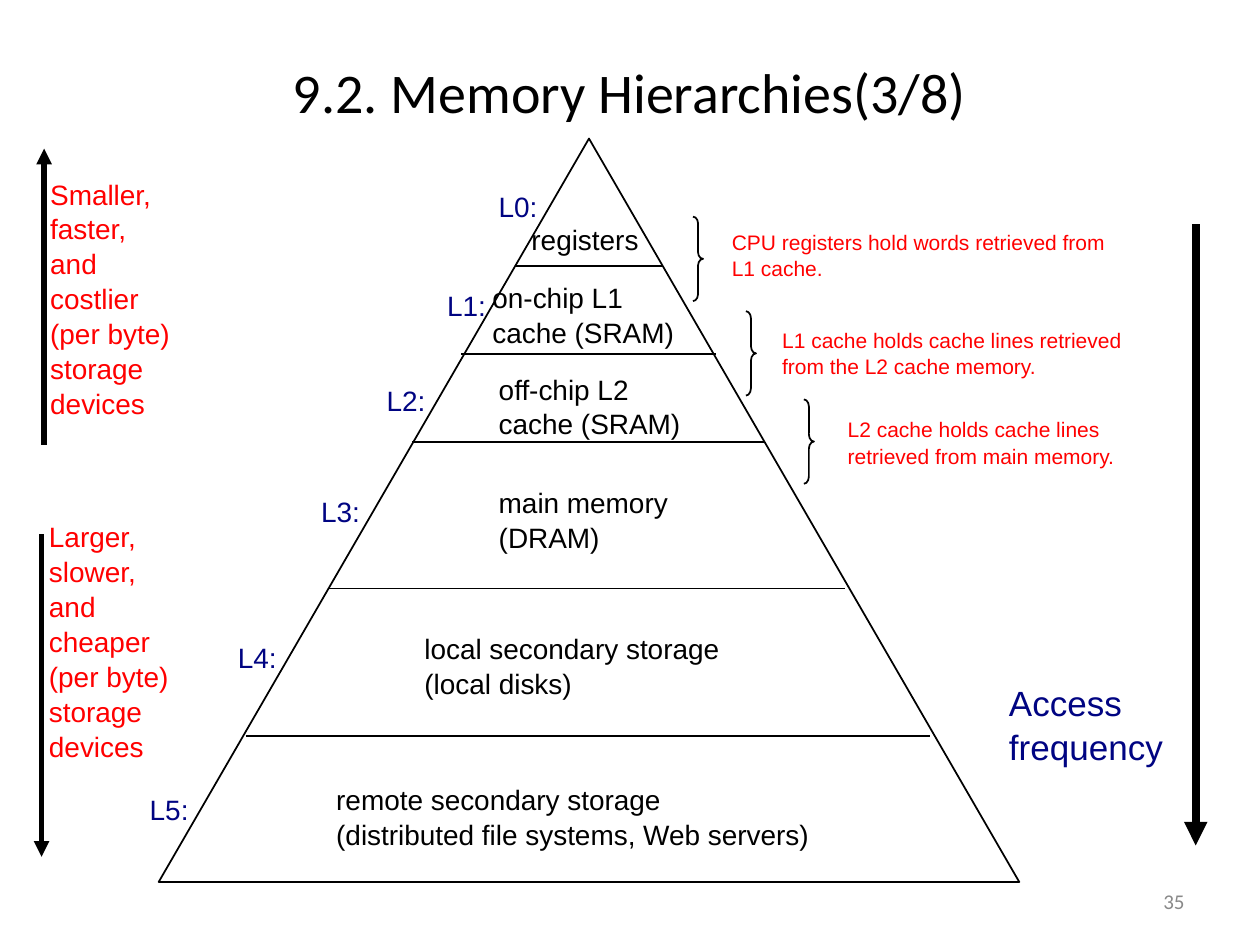
from dataclasses import dataclass

from lxml.etree import SubElement
from pptx import Presentation
from pptx.dml.color import RGBColor
from pptx.enum.shapes import MSO_CONNECTOR, MSO_SHAPE
from pptx.enum.text import MSO_ANCHOR, MSO_AUTO_SIZE, PP_ALIGN
from pptx.oxml.ns import qn
from pptx.util import Emu, Pt

BLACK = RGBColor(0x00, 0x00, 0x00)
RED = RGBColor(0xFF, 0x00, 0x00)
NAVY = RGBColor(0x00, 0x04, 0x82)
GRAY = RGBColor(0x89, 0x89, 0x89)


def px(n: int) -> Emu:
    """Turn px, 100 to the inch, into EMU."""
    return Emu(n * 9144)


@dataclass
class Label:
    text: str
    x: int
    y: int
    w: int
    h: int
    color: RGBColor = BLACK
    size: int = 16
    wrap: bool = False
    font: str = "Arial"
    align: PP_ALIGN = PP_ALIGN.LEFT
    lead: float = 1.04
    grow: bool = True


@dataclass
class Line:
    x1: int
    y1: int
    x2: int
    y2: int
    width: float = 1
    arrow: bool = False


@dataclass
class Brace:
    x: int
    y: int
    bend: float


def draw_label(shapes, item: Label) -> None:
    box = shapes.add_textbox(px(item.x), px(item.y), px(item.w), px(item.h))
    frame = box.text_frame
    frame.text = item.text
    frame.word_wrap = item.wrap
    frame.vertical_anchor = MSO_ANCHOR.MIDDLE
    frame.auto_size = MSO_AUTO_SIZE.SHAPE_TO_FIT_TEXT if item.grow else MSO_AUTO_SIZE.NONE
    for para in frame.paragraphs:
        para.alignment = item.align
        para.line_spacing = item.lead
        for run in para.runs:
            run.font.name = item.font
            run.font.size = Pt(item.size)
            run.font.color.rgb = item.color


def draw_line(shapes, item: Line) -> None:
    line = shapes.add_connector(MSO_CONNECTOR.STRAIGHT, px(item.x1), px(item.y1),
                                px(item.x2), px(item.y2))
    line.line.color.rgb = BLACK
    line.line.width = Pt(item.width)
    if item.arrow:
        SubElement(line.line._get_or_add_ln(), qn("a:tailEnd"), type="triangle")
    SubElement(line._element.spPr, qn("a:effectLst"))


def draw_shape(shapes, kind: MSO_SHAPE, x: int, y: int, w: int, h: int,
               *bends: float) -> None:
    shape = shapes.add_shape(kind, px(x), px(y), px(w), px(h))
    for i, bend in enumerate(bends):
        shape.adjustments[i] = bend
    shape.shadow.inherit = False
    shape.fill.background()
    shape.line.color.rgb = BLACK
    shape.line.width = Pt(1)


# Title and page number
HEADS = [
    Label("9.2. Memory Hierarchies(3/8)", 0, 30, 1000, 85, size=32, wrap=True,
          font="Calibri", align=PP_ALIGN.CENTER, lead=1, grow=False),
    Label("35", 717, 695, 233, 40, GRAY, 12, True, "Calibri", PP_ALIGN.RIGHT, 1, False),
]

# Names of the tiers inside the pyramid
TIERS = [
    Label("registers", 412, 171, 114, 37),
    Label("on-chip L1\ncache (SRAM)", 381, 217, 169, 64),
    Label("off-chip L2\ncache (SRAM)", 386, 290, 169, 64),
    Label("main memory\n(DRAM)", 386, 380, 165, 64),
    Label("local secondary storage\n(local disks)", 327, 496, 274, 64),
    Label("remote secondary storage\n(distributed file systems, Web servers)", 257, 616, 428, 64),
]

# Level marks along the left edge
SPOTS = [(386, 145), (345, 223), (297, 299), (245, 387), (179, 503), (109, 623)]
MARKS = [Label(f"L{i}:", x, y, 53, 37, NAVY) for i, (x, y) in enumerate(SPOTS)]

# Notes beside the braces and the arrows
NOTES = [
    Label("CPU registers hold words retrieved from L1 cache.", 571, 177, 319, 50, RED, 12, True),
    Label("L1 cache holds cache lines retrieved from the L2 cache memory.",
          611, 255, 310, 50, RED, 12, True),
    Label("L2 cache holds cache lines retrieved from main memory.",
          663, 326, 287, 50, RED, 12, True),
    Label("Smaller,\nfaster,\nand\ncostlier\n(per byte)\nstorage\ndevices", 30, 138, 121, 197, RED),
    Label("Larger,\nslower,\nand\ncheaper\n(per byte)\nstorage\ndevices", 29, 410, 121, 197, RED),
    Label("Access frequency", 791, 536, 153, 77, NAVY, 20, True),
]

BRACES = [Brace(550, 172, 0.67), Brace(592, 247, 0.72), Brace(638, 317, 0.72)]

# Tier borders: left, right, height
CUTS = [(409, 526, 211), (366, 568, 281), (327, 606, 351), (260, 671, 467), (195, 738, 584)]
LINES = [Line(left, y, right, y) for left, right, y in CUTS]

ARROWS = [
    Line(35, 353, 35, 118, 3, True),
    Line(33, 424, 33, 680, 3, True),
    Line(949, 178, 949, 671, 4.5, True),
]


def main() -> None:
    deck = Presentation()
    deck.slide_width, deck.slide_height = px(1000), px(750)
    shapes = deck.slides.add_slide(deck.slide_layouts[6]).shapes

    draw_shape(shapes, MSO_SHAPE.ISOSCELES_TRIANGLE, 126, 110, 683, 590)
    for line in LINES + ARROWS:
        draw_line(shapes, line)
    for brace in BRACES:
        draw_shape(shapes, MSO_SHAPE.RIGHT_BRACE, brace.x, brace.y, 8, 67, brace.bend, 0.5)
    for label in HEADS + TIERS + MARKS + NOTES:
        draw_label(shapes, label)

    deck.save("out.pptx")


if __name__ == "__main__":
    main()
